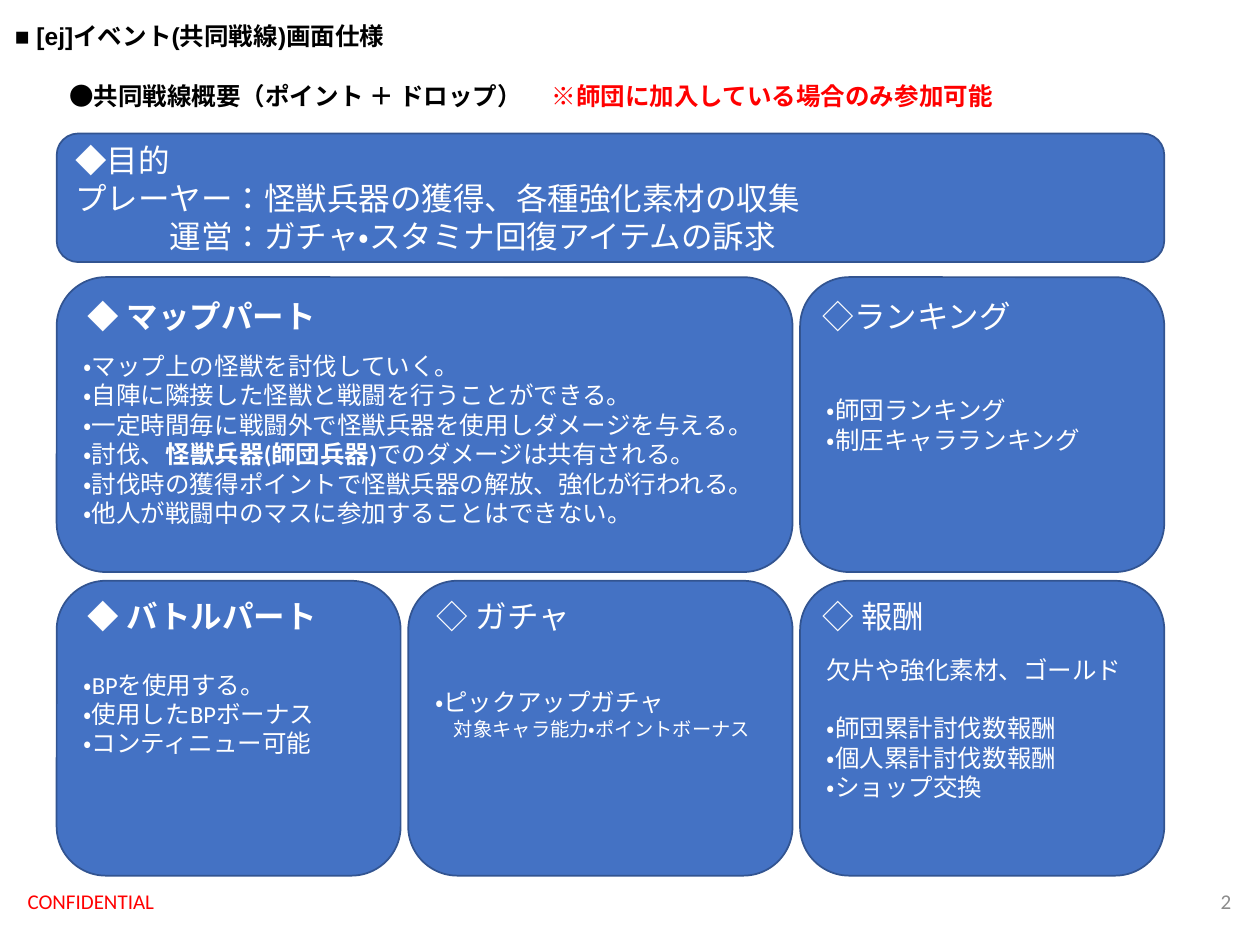
from pptx import Presentation
from pptx.dml.color import RGBColor
from pptx.enum.lang import MSO_LANGUAGE_ID
from pptx.enum.shapes import MSO_SHAPE
from pptx.enum.text import MSO_ANCHOR, PP_ALIGN
from pptx.util import Inches, Pt

ROUNDED = MSO_SHAPE.ROUNDED_RECTANGLE
TOP, MIDDLE = MSO_ANCHOR.TOP, MSO_ANCHOR.MIDDLE
LEFT, RIGHT = PP_ALIGN.LEFT, PP_ALIGN.RIGHT
JAPANESE = MSO_LANGUAGE_ID.JAPANESE

BLUE = RGBColor(0x44, 0x72, 0xC4)
NAVY = RGBColor(0x32, 0x54, 0x91)
WHITE = RGBColor(0xFF, 0xFF, 0xFF)
BLACK = RGBColor(0x00, 0x00, 0x00)
RED = RGBColor(0xFF, 0x00, 0x00)
GRAY = RGBColor(0x8C, 0x8C, 0x8C)

BOLD_MARK = "|"
LINE = 0.23
INSET = 0.05

COLUMN_WIDTHS = [2.73, 3.05, 2.89]
ROW_TOPS = [2.2, 4.61]
GRID_LEFT, COLUMN_GAP, PANEL_HEIGHT = 0.45, 0.06, 2.34
HEADING_INSETS = [0.15, 0.13, 0.08]
HEADING_TOPS = [2.31, 4.69]
HEADING_SIZE = (2.14, 0.4)

LABELS = [
    ("■ [ej]イベント(共同戦線)画面仕様", (0.02, 0.12, 3.3, 0.34),
     dict(size=14, color=BLACK, bold=True, font="Arial")),
    ("●共同戦線概要（ポイント ＋ ドロップ）", (0.45, 0.59, 3.82, 0.34),
     dict(size=14, color=BLACK, bold=True)),
    ("※師団に加入している場合のみ参加可能", (4.28, 0.59, 3.74, 0.34),
     dict(size=14, color=RED, bold=True)),
    ("CONFIDENTIAL", (0.12, 6.95, 3.38, 0.4),
     dict(size=12, color=RED, anchor=MIDDLE)),
    ("2", (7.62, 6.95, 2.25, 0.4),
     dict(size=12, color=GRAY, anchor=MIDDLE, align=RIGHT)),
]

PURPOSE = [
    "|◆|目的",
    "プレーヤー：怪獣兵器の獲得、各種強化素材の収集",
    ("運営：ガチャ・スタミナ回復アイテムの訴求", dict(indent=0.75)),
]

PANELS = [
    dict(row=0, column=0, span=2, heading="◆ マップパート", bold=True, above=1, lines=[
        "・マップ上の怪獣を討伐していく。",
        "・自陣に隣接した怪獣と戦闘を行うことができる。",
        "・一定時間毎に戦闘外で怪獣兵器を使用しダメージを与える。",
        "・討伐、|怪獣兵器(師団兵器)|でのダメージは共有される。",
        "・討伐時の獲得ポイントで怪獣兵器の解放、強化が行われる。",
        "・他人が戦闘中のマスに参加することはできない。"]),
    dict(row=0, column=2, heading="◇ランキング", lines=[
        "・師団ランキング",
        "・制圧キャラランキング"]),
    dict(row=1, column=0, heading="◆ バトルパート", bold=True, below=1, lines=[
        "・BPを使用する。",
        "・使用したBPボーナス",
        "・コンティニュー可能"]),
    dict(row=1, column=1, heading="◇ ガチャ", below=1, lines=[
        "・ピックアップガチャ",
        ("対象キャラ能力・ポイントボーナス", dict(size=11, indent=0.15))]),
    dict(row=1, column=2, heading="◇ 報酬", lines=[
        "欠片や強化素材、ゴールド",
        ("・師団累計討伐数報酬", dict(before=LINE)),
        "・個人累計討伐数報酬",
        "・ショップ交換"]),
]


def write(frame, lines, size, color, bold=False, font="Calibri", anchor=TOP, align=LEFT):
    frame.word_wrap = True
    frame.vertical_anchor = anchor
    for index, line in enumerate(lines):
        text, style = (line, {}) if isinstance(line, str) else line
        paragraph = frame.add_paragraph() if index else frame.paragraphs[0]
        paragraph.alignment = align
        if "before" in style:
            paragraph.space_before = Inches(style["before"])
        if "indent" in style:
            paragraph._p.get_or_add_pPr().set("marL", str(Inches(style["indent"])))
        for part, words in enumerate(text.split(BOLD_MARK)):
            if not words:
                continue
            run = paragraph.add_run()
            run.text = words
            run.font.size = Pt(style.get("size", size))
            run.font.name = font
            run.font.bold = bold or part % 2 == 1
            run.font.color.rgb = color
            run.font.language_id = JAPANESE


def add_label(slide, text, box, **style):
    label = slide.shapes.add_textbox(*map(Inches, box))
    write(label.text_frame, [text], **style)


def add_panel(slide, box, lines, size, above=0, below=0):
    panel = slide.shapes.add_shape(ROUNDED, *map(Inches, box))
    panel.shadow.inherit = False
    panel.fill.solid()
    panel.fill.fore_color.rgb = BLUE
    panel.line.color.rgb = NAVY
    panel.line.width = Pt(1)
    frame = panel.text_frame
    frame.margin_top = Inches(INSET + above * LINE)
    frame.margin_bottom = Inches(INSET + below * LINE)
    write(frame, lines, size, WHITE, anchor=MIDDLE)


def column_left(column):
    return GRID_LEFT + sum(COLUMN_WIDTHS[:column]) + column * COLUMN_GAP


def span_width(column, span):
    return sum(COLUMN_WIDTHS[column:column + span]) + (span - 1) * COLUMN_GAP


def main():
    deck = Presentation()
    deck.slide_width, deck.slide_height = Inches(10), Inches(7.5)
    slide = deck.slides.add_slide(deck.slide_layouts[6])

    for text, box, style in LABELS:
        add_label(slide, text, box, **style)

    add_panel(slide, (GRID_LEFT, 1.06, span_width(0, 3), 1.02), PURPOSE, 18)

    for panel in PANELS:
        row, column = panel["row"], panel["column"]
        left = column_left(column)
        width = span_width(column, panel.get("span", 1))
        add_panel(slide, (left, ROW_TOPS[row], width, PANEL_HEIGHT), panel["lines"], 14,
                  panel.get("above", 0), panel.get("below", 0))
        heading_box = (left + HEADING_INSETS[column], HEADING_TOPS[row], *HEADING_SIZE)
        add_label(slide, panel["heading"], heading_box, size=18, color=WHITE,
                  bold=panel.get("bold", False))

    deck.save("out.pptx")


if __name__ == "__main__":
    main()
